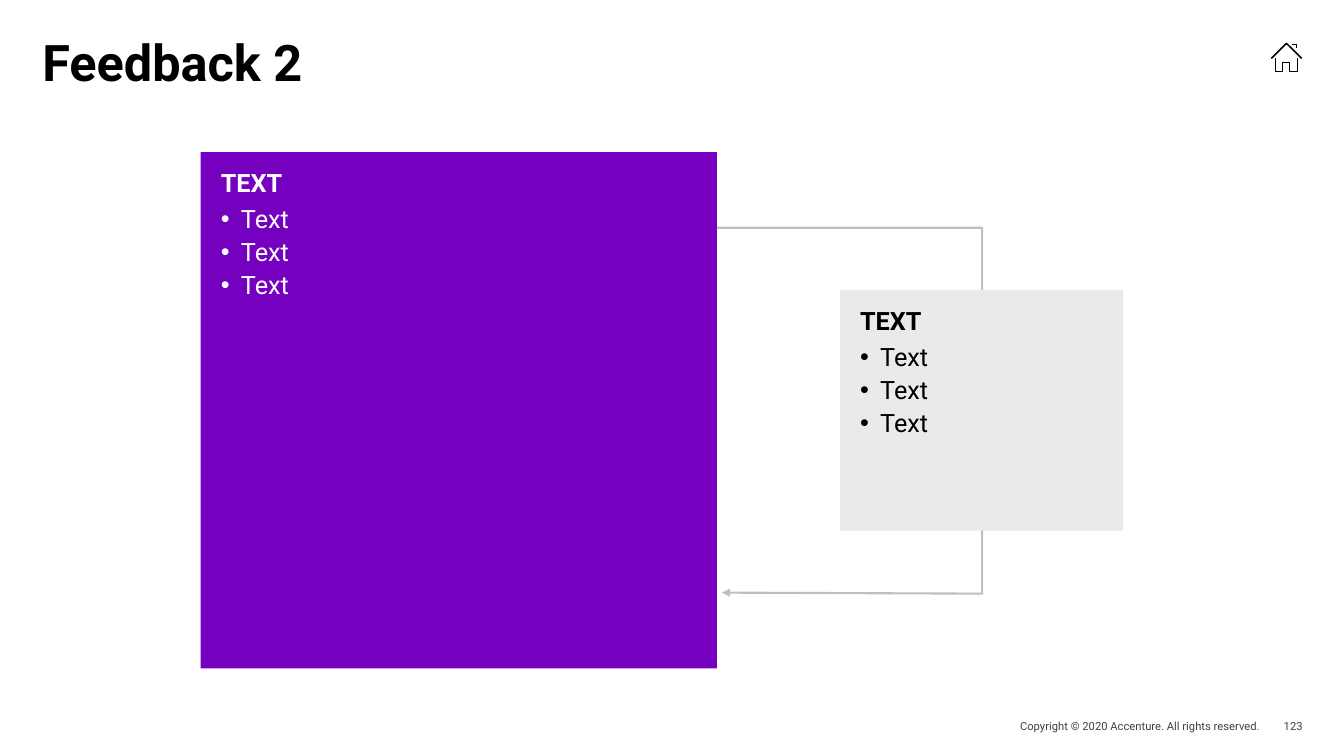
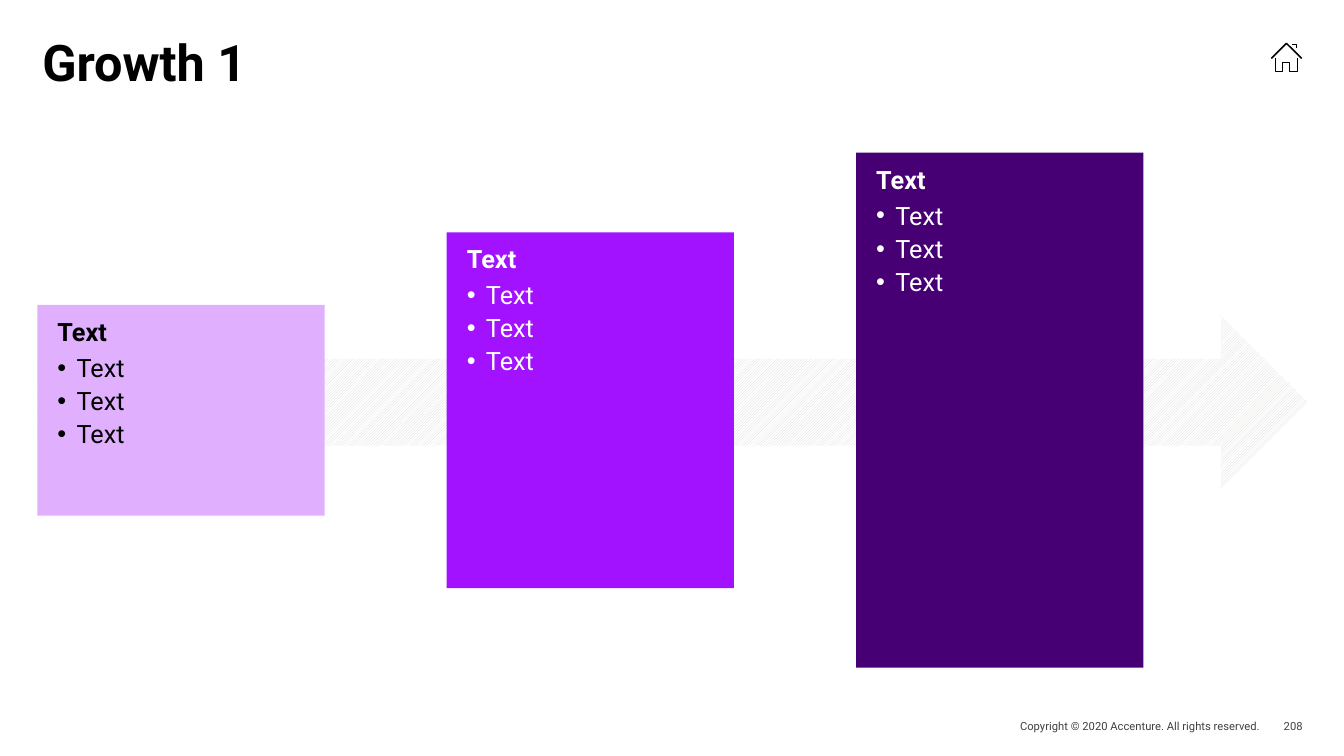
from dataclasses import dataclass

from lxml import etree
from pptx import Presentation
from pptx.dml.color import RGBColor
from pptx.enum.dml import MSO_PATTERN
from pptx.enum.shapes import MSO_SHAPE
from pptx.enum.text import MSO_ANCHOR, PP_ALIGN
from pptx.oxml.ns import qn
from pptx.util import Inches, Pt

RECTANGLE = MSO_SHAPE.RECTANGLE
RIGHT_ARROW = MSO_SHAPE.RIGHT_ARROW
DIAGONALS = MSO_PATTERN.DARK_UPWARD_DIAGONAL
TOP, MIDDLE = MSO_ANCHOR.TOP, MSO_ANCHOR.MIDDLE
LEFT, RIGHT = PP_ALIGN.LEFT, PP_ALIGN.RIGHT


@dataclass(frozen=True)
class Theme:
    font: str = "Roboto"
    black: RGBColor = RGBColor.from_string("000000")
    white: RGBColor = RGBColor.from_string("FFFFFF")
    footer: RGBColor = RGBColor.from_string("404040")
    purple: RGBColor = RGBColor.from_string("7500C0")
    lilac: RGBColor = RGBColor.from_string("E0B0FF")
    violet: RGBColor = RGBColor.from_string("A212FF")
    indigo: RGBColor = RGBColor.from_string("460073")
    pale_gray: RGBColor = RGBColor.from_string("EAEAE8")
    loop_gray: RGBColor = RGBColor.from_string("C0C0BA")
    hatch_gray: RGBColor = RGBColor.from_string("D5D5D1")
    title_size: int = 36
    body_size: int = 18
    footer_size: int = 8


THEME = Theme()
COPYRIGHT = "Copyright © 2020 Accenture. All rights reserved."
PANEL_MIDDLE = 4.07
BULLETS = ["Text"] * 3

HOME_ICON = [
    [(12.61, 0.58), (12.76, 0.43), (12.91, 0.58)],
    [(12.81, 0.44), (12.86, 0.44), (12.86, 0.48)],
    [(12.65, 0.58), (12.65, 0.71), (12.72, 0.71), (12.72, 0.62),
     (12.79, 0.62), (12.79, 0.71), (12.87, 0.71), (12.87, 0.58)],
]


def format_runs(paragraph, size, color, bold=False):
    for run in paragraph.runs:
        run.font.name = THEME.font
        run.font.size = Pt(size)
        run.font.bold = bold
        run.font.color.rgb = color


def set_margins(frame, left, top, right, bottom):
    frame.margin_left, frame.margin_top = Inches(left), Inches(top)
    frame.margin_right, frame.margin_bottom = Inches(right), Inches(bottom)


def add_label(slide, box, text, size, color, bold=False, align=LEFT, anchor=TOP, spacing=1.0):
    frame = slide.shapes.add_textbox(*map(Inches, box)).text_frame
    frame.word_wrap = True
    frame.vertical_anchor = anchor
    set_margins(frame, 0, 0, 0, 0)
    frame.text = text
    paragraph = frame.paragraphs[0]
    paragraph.alignment = align
    paragraph.line_spacing = spacing
    format_runs(paragraph, size, color, bold)


def add_strokes(slide, strokes, color, width):
    points = [[(Inches(x), Inches(y)) for x, y in stroke] for stroke in strokes]
    builder = slide.shapes.build_freeform(*points[0][0])
    for index, (start, *rest) in enumerate(points):
        if index:
            builder.move_to(*start)
        builder.add_line_segments(rest, close=False)
    outline = builder.convert_to_shape()
    outline.shadow.inherit = False
    outline.fill.background()
    outline.line.color.rgb = color
    outline.line.width = Pt(width)
    return outline


def add_arrowhead(outline):
    line = outline.line._get_or_add_ln()
    etree.SubElement(line, qn("a:tailEnd"), type="triangle")


def add_bullet(paragraph, indent):
    properties = paragraph._p.get_or_add_pPr()
    properties.set("marL", str(Inches(indent)))
    properties.set("indent", str(-Inches(indent)))
    etree.SubElement(properties, qn("a:buFont"), typeface="Arial")
    etree.SubElement(properties, qn("a:buChar"), char="•")


def add_panel(slide, left, width, height, fill, color, heading, top_margin, indent):
    top = PANEL_MIDDLE - height / 2
    panel = slide.shapes.add_shape(RECTANGLE, *map(Inches, (left, top, width, height)))
    panel.shadow.inherit = False
    panel.fill.solid()
    panel.fill.fore_color.rgb = fill
    panel.line.fill.background()
    frame = panel.text_frame
    frame.word_wrap = True
    frame.vertical_anchor = TOP
    set_margins(frame, 0.2, top_margin, 0.08, 0.08)
    frame.text = "\n".join([heading, *BULLETS])
    for index, paragraph in enumerate(frame.paragraphs):
        is_heading = index == 0
        paragraph.alignment = LEFT
        if is_heading:
            paragraph.line_spacing = 0.85
            paragraph.space_after = Pt(3)
        else:
            add_bullet(paragraph, indent)
            paragraph.space_before = paragraph.space_after = Pt(1)
        format_runs(paragraph, THEME.body_size, color, is_heading)


def add_base_slide(deck, title, number):
    slide = deck.slides.add_slide(deck.slide_layouts[6])
    for box, text in (((9.1, 7.09, 3.4, 0.22), COPYRIGHT),
                      ((12.5, 7.09, 0.42, 0.23), number)):
        add_label(slide, box, text, THEME.footer_size, THEME.footer, align=RIGHT, anchor=MIDDLE)
    add_label(slide, (0.42, 0.42, 12.5, 1.08), title, THEME.title_size, THEME.black,
              bold=True, spacing=0.8)
    add_strokes(slide, HOME_ICON, THEME.black, 1.1)
    return slide


def build_feedback(deck):
    slide = add_base_slide(deck, "Feedback 2", "123")
    loop = add_strokes(slide, [[(7.09, 2.26), (9.74, 2.26), (9.74, 5.89), (7.16, 5.88)]],
                       THEME.loop_gray, 1.5)
    add_arrowhead(loop)
    for left, width, height, fill, color in (
            (8.33, 2.81, 2.39, THEME.pale_gray, THEME.black),
            (1.99, 5.12, 5.12, THEME.purple, THEME.white)):
        add_panel(slide, left, width, height, fill, color, "TEXT", 0.2, 0.2)


def build_growth(deck):
    slide = add_base_slide(deck, "Growth 1", "208")
    arrow = slide.shapes.add_shape(RIGHT_ARROW, *map(Inches, (0.37, 3.13, 12.6, 1.72)))
    arrow.shadow.inherit = False
    arrow.fill.patterned()
    arrow.fill.pattern = DIAGONALS
    arrow.fill.fore_color.rgb = THEME.hatch_gray
    arrow.fill.back_color.rgb = THEME.white
    arrow.line.fill.background()
    stages = ((2.09, THEME.lilac, THEME.black),
              (3.53, THEME.violet, THEME.white),
              (5.11, THEME.indigo, THEME.white))
    for index, (height, fill, color) in enumerate(stages):
        add_panel(slide, 0.37 + 4.06 * index, 2.85, height, fill, color, "Text", 0.16, 0.19)


def main():
    deck = Presentation()
    deck.slide_width, deck.slide_height = Inches(13.33), Inches(7.5)
    build_feedback(deck)
    build_growth(deck)
    deck.save("out.pptx")


if __name__ == "__main__":
    main()
